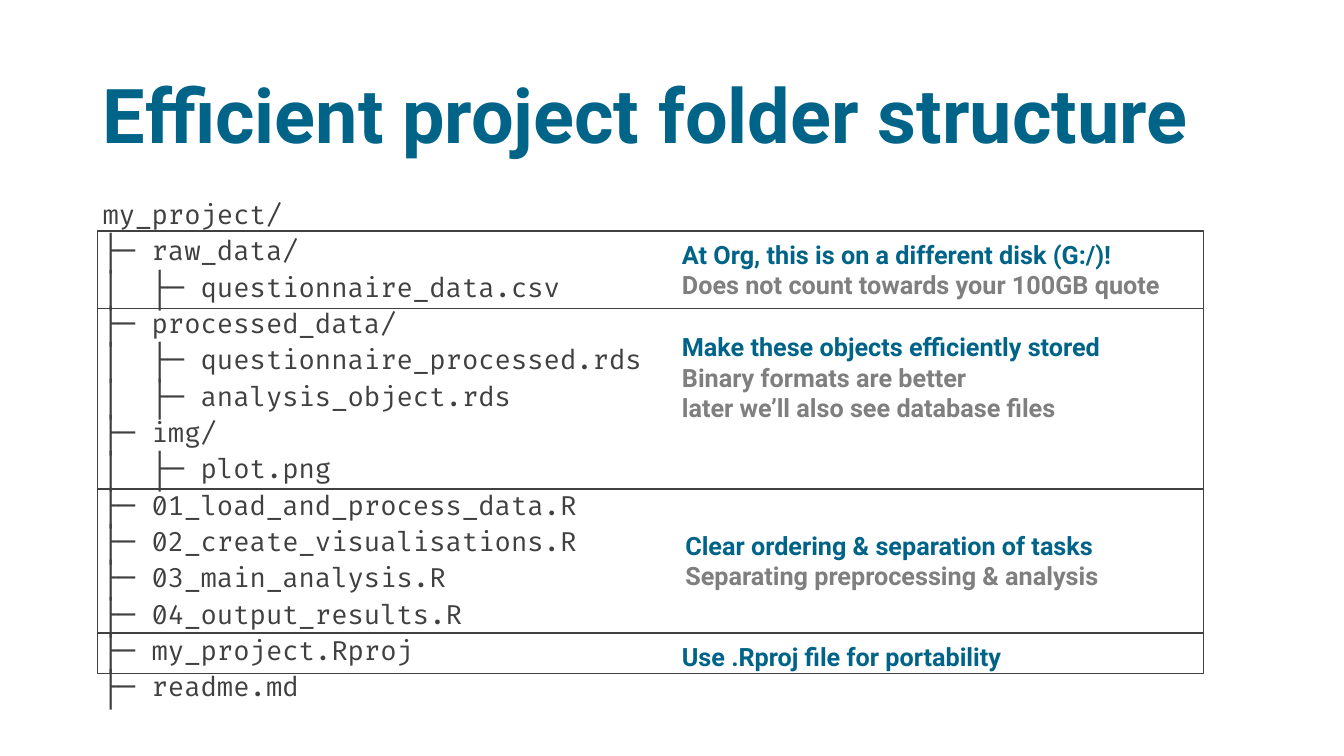
from pptx import Presentation
from pptx.dml.color import RGBColor
from pptx.enum.shapes import MSO_SHAPE as Shape
from pptx.enum.text import MSO_ANCHOR as Anchor, MSO_AUTO_SIZE as AutoSize, PP_ALIGN as Align
from pptx.util import Inches, Pt

WIDTH, HEIGHT = Inches(13.33), Inches(7.5)
COLUMN, ROW = WIDTH / 40, HEIGHT / 75
TEAL, GREY, INK = "006388", "7F7F7F", "404040"
MARGIN, CONTENT_WIDTH = 2.76, 34.5
BAND_LEFT, BAND_TOP, BAND_WIDTH = 2.91, 22.9, 32.91
NOTE_WIDTH = 15.96

FOLDER_TREE = [
    "my_project/",
    "├─ raw_data/",
    "│  ├─ questionnaire_data.csv",
    "├─ processed_data/",
    "│  ├─ questionnaire_processed.rds",
    "│  ├─ analysis_object.rds",
    "├─ img/",
    "│  ├─ plot.png",
    "├─ 01_load_and_process_data.R",
    "├─ 02_create_visualisations.R",
    "├─ 03_main_analysis.R",
    "├─ 04_output_results.R",
    "├─ my_project.Rproj",
    "├─ readme.md",
]

# Each band: height, note column, note offset and height in rows, note paragraphs.
BANDS = [
    (7.7, 20, 0.3, 7.1, ["At Org, this is on a different disk (G:/)!",
                         "Does not count towards your 100GB quote"]),
    (17.9, 20, 1.8, 10.1, ["Make these objects efficiently stored",
                           "Binary formats are better\nlater we’ll also see database files"]),
    (14.3, 20.1, 3.6, 7.1, ["Clear ordering & separation of tasks",
                            "Separating preprocessing & analysis"]),
    (4, 20, 0.3, 4, ["Use .Rproj file for portability"]),
]


def color(code):
    """Turn a hex string into a colour."""
    return RGBColor.from_string(code)


def cells(left, top, width, height):
    """Turn grid columns and rows into slide lengths."""
    return [round(n * unit) for n, unit in
            zip((left, top, width, height), (COLUMN, ROW, COLUMN, ROW))]


def style(paragraph, face, size, code, bold=False):
    """Format a whole paragraph."""
    font = paragraph.font
    font.name, font.size, font.bold = face, Pt(size), bold
    font.color.rgb = color(code)


def add_title(slide, wording):
    """Place and format the title placeholder."""
    title = slide.shapes.title
    title.left, title.top, title.width, title.height = cells(MARGIN, 4, CONTENT_WIDTH, 14.5)
    frame = title.text_frame
    frame.text = wording
    frame.auto_size = AutoSize.NONE
    frame.vertical_anchor = Anchor.MIDDLE
    heading = frame.paragraphs[0]
    heading.alignment = Align.LEFT
    style(heading, "Roboto", 54, TEAL, True)


def add_text(slide, area, lines):
    """Add a wrapping text box and return its paragraphs."""
    frame = slide.shapes.add_textbox(*cells(*area)).text_frame
    frame.word_wrap = True
    frame.text = lines[0]
    for line in lines[1:]:
        frame.add_paragraph().text = line
    return frame.paragraphs


def add_tree(slide, entries):
    """Add the folder listing."""
    for entry in add_text(slide, (MARGIN, 20, CONTENT_WIDTH, 51), entries):
        style(entry, "Fira Code", 19, INK)
        entry.line_spacing = 0.7
        entry.space_before = Pt(10)


def add_note(slide, area, lines):
    """Add a note with a teal lead and a grey remark."""
    for paragraph, code in zip(add_text(slide, area, lines), (TEAL, GREY)):
        style(paragraph, "Roboto", 18, code, True)


def add_band(slide, top, height):
    """Outline a group of folder entries."""
    band = slide.shapes.add_shape(Shape.RECTANGLE, *cells(BAND_LEFT, top, BAND_WIDTH, height))
    band.shadow.inherit = False
    band.fill.background()
    band.line.color.rgb = color(INK)
    band.line.width = Pt(1)


def main():
    """Build and save the slide."""
    deck = Presentation()
    deck.slide_width, deck.slide_height = WIDTH, HEIGHT
    slide = deck.slides.add_slide(deck.slide_layouts[5])
    add_title(slide, "Efficient project folder structure")
    add_tree(slide, FOLDER_TREE)
    top = BAND_TOP
    for height, note_left, offset, note_height, lines in BANDS:
        add_note(slide, (note_left, top + offset, NOTE_WIDTH, note_height), lines)
        add_band(slide, top, height)
        top += height
    deck.save("out.pptx")


if __name__ == "__main__":
    main()
